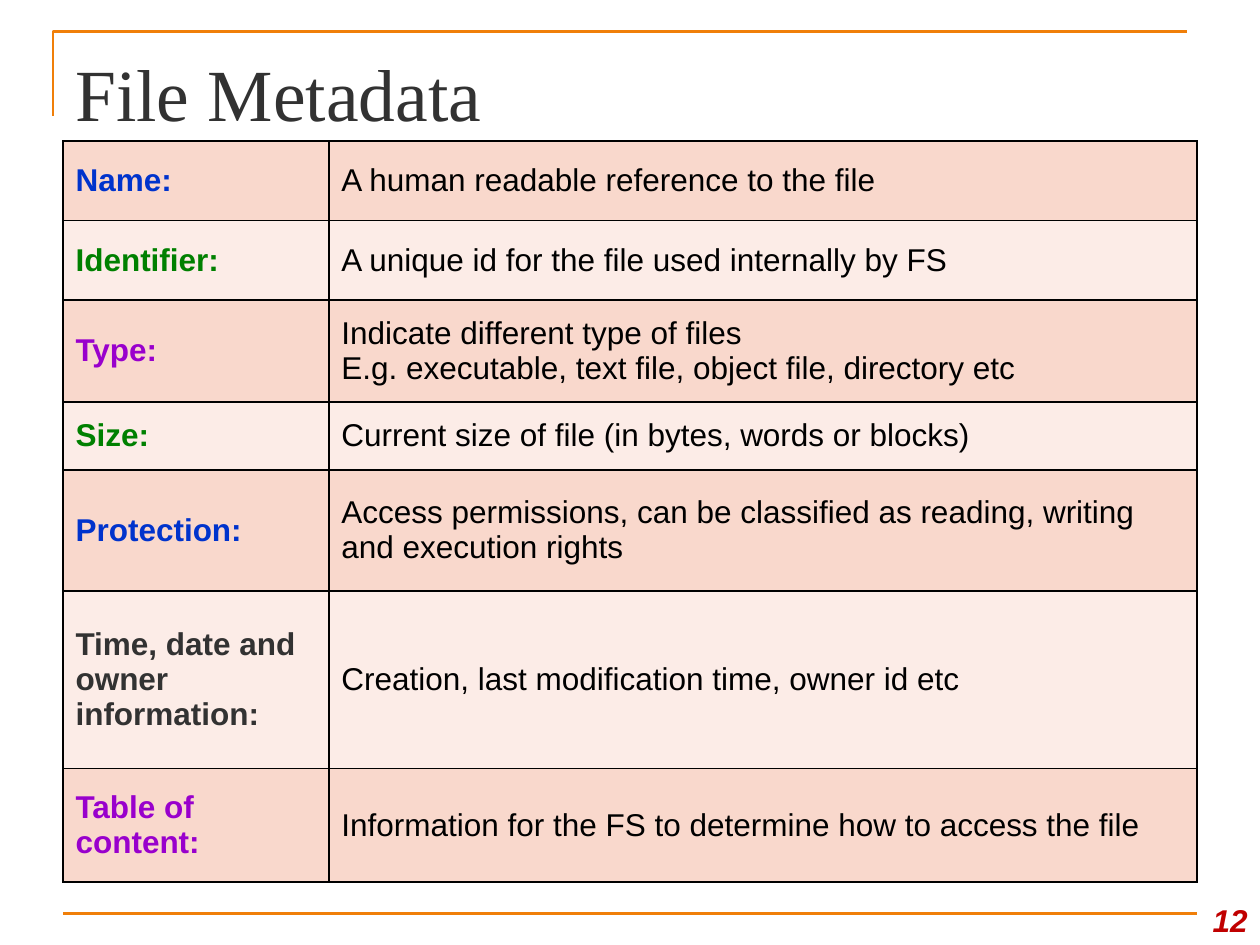
from lxml.etree import SubElement
from pptx import Presentation
from pptx.dml.color import RGBColor
from pptx.enum.shapes import MSO_CONNECTOR
from pptx.enum.text import MSO_ANCHOR, PP_ALIGN
from pptx.oxml.ns import qn
from pptx.util import Inches, Pt

COLORS = {
    "orange": "F07F09", "gray": "323232", "red": "C00000", "black": "000000",
    "blue": "0033CC", "green": "008000", "purple": "9900CC",
    "dark band": "F9D8CC", "light band": "FCECE7",
}
TITLE = "File Metadata"
PAGE_NUMBER = "12"
# label, label color, description, row height
METADATA = [
    ("Name:", "blue", "A human readable reference to the file", 0.63),
    ("Identifier:", "green", "A unique id for the file used internally by FS", 0.63),
    ("Type:", "purple", "Indicate different type of files\n"
     "E.g. executable, text file, object file, directory etc", 0.81),
    ("Size:", "green", "Current size of file (in bytes, words or blocks)", 0.54),
    ("Protection:", "blue", "Access permissions, can be classified as reading, "
     "writing and execution rights", 0.96),
    ("Time, date and owner information:", "gray",
     "Creation, last modification time, owner id etc", 1.41),
    ("Table of content:", "purple",
     "Information for the FS to determine how to access the file", 0.9),
]
COLUMN_WIDTHS = [2.11, 6.89]


def rgb(name):
    return RGBColor.from_string(COLORS[name])


def write(frame, text, color, size=18, font="Arial", bold=False, italic=False,
          align=PP_ALIGN.LEFT):
    frame.text = text
    frame.word_wrap = True
    for para in frame.paragraphs:
        para.alignment = align
        para.font.name, para.font.size = font, Pt(size)
        para.font.bold, para.font.italic = bold, italic
        para.font.color.rgb = rgb(color)


def add_text(page, left, top, width, height, text, color, **style):
    box = page.shapes.add_textbox(*map(Inches, (left, top, width, height)))
    write(box.text_frame, text, color, **style)
    box.text_frame.vertical_anchor = MSO_ANCHOR.BOTTOM
    return box


def style_rule(shape):
    shape.line.color.rgb = rgb("orange")
    shape.line.width = Pt(1.5)


def add_rules(page):
    builder = page.shapes.build_freeform(Inches(0.42), Inches(0.92))
    builder.add_line_segments(
        [(Inches(0.42), Inches(0.25)), (Inches(9.42), Inches(0.25))], close=False)
    corner = builder.convert_to_shape()
    corner.fill.background()
    corner.shadow.inherit = False
    style_rule(corner)

    footer = page.shapes.add_connector(
        MSO_CONNECTOR.STRAIGHT, *map(Inches, (0.5, 7.25, 9.5, 7.25)))
    style_rule(footer)
    SubElement(footer._element.spPr, qn("a:effectLst"))


def add_borders(cell):
    properties = cell._tc.get_or_add_tcPr()
    for side in ("lnL", "lnR", "lnT", "lnB"):
        border = SubElement(properties, qn(f"a:{side}"), w=str(Pt(1)))
        fill = SubElement(border, qn("a:solidFill"))
        SubElement(fill, qn("a:srgbClr"), val=COLORS["black"])


def add_metadata_table(page):
    height = sum(row[-1] for row in METADATA)
    table = page.shapes.add_table(
        len(METADATA), len(COLUMN_WIDTHS), Inches(0.5), Inches(1.12),
        Inches(sum(COLUMN_WIDTHS)), Inches(height)).table
    table.first_row = table.horz_banding = False
    for column, width in zip(table.columns, COLUMN_WIDTHS):
        column.width = Inches(width)
    for index, (label, color, description, row_height) in enumerate(METADATA):
        row = table.rows[index]
        row.height = Inches(row_height)
        label_cell, description_cell = row.cells
        write(label_cell.text_frame, label, color, bold=True)
        write(description_cell.text_frame, description, "black")
        for cell in (label_cell, description_cell):
            cell.vertical_anchor = MSO_ANCHOR.MIDDLE
            add_borders(cell)
            cell.fill.solid()
            cell.fill.fore_color.rgb = rgb("light band" if index % 2 else "dark band")


def main():
    deck = Presentation()
    deck.slide_width, deck.slide_height = Inches(10), Inches(7.5)
    page = deck.slides.add_slide(deck.slide_layouts[6])
    add_rules(page)
    title = add_text(page, 0.5, 0.3, 9, 0.78, TITLE, "gray",
                     size=42, font="Times New Roman")
    title.text_frame.margin_bottom = 0
    add_metadata_table(page)
    add_text(page, 9.42, 7, 0.58, 0.5, PAGE_NUMBER, "red",
             bold=True, italic=True, align=PP_ALIGN.RIGHT)
    deck.save("out.pptx")


if __name__ == "__main__":
    main()
